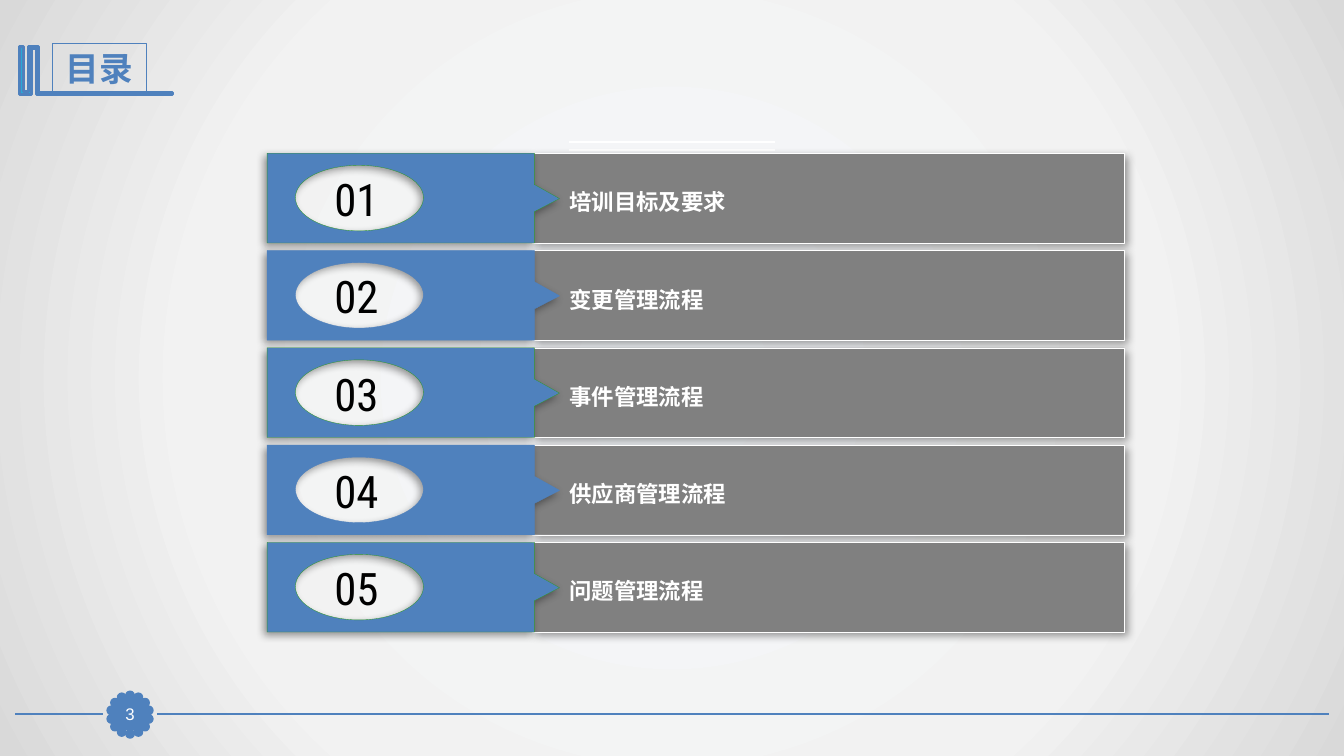
from math import cos, pi, sin

from lxml import etree
from pptx import Presentation
from pptx.dml.color import RGBColor
from pptx.enum.shapes import MSO_CONNECTOR, MSO_SHAPE
from pptx.enum.text import MSO_ANCHOR, MSO_AUTO_SIZE, PP_ALIGN
from pptx.oxml import parse_xml
from pptx.oxml.ns import qn
from pptx.util import Inches, Pt

TITLE = "目录"
PAGE_NUMBER = "3"
CHAPTERS = ["培训目标及要求", "变更管理流程", "事件管理流程", "供应商管理流程", "问题管理流程"]

BLUE = RGBColor(0x4F, 0x81, 0xBD)
SKY = RGBColor(0x28, 0xA9, 0xD6)
GREEN = RGBColor(0x33, 0x99, 0x33)
GRAY = RGBColor(0x80, 0x80, 0x80)
WHITE = RGBColor(0xFF, 0xFF, 0xFF)
BLACK = RGBColor(0, 0, 0)
BACKGROUND_STOPS = [(0, "F6F9FC"), (63, "F2F2F2"), (100, "D9D9D9")]
HEADING_FONT = "Roboto Condensed"
BODY_FONT = "Arial"

# x1, x2, y, colour, width
RULES = [
    (13.18, 1.56, 7.08, BLUE, 1.25),
    (1.02, 0.15, 7.08, BLUE, 1.25),
    (5.64, 7.69, 1.41, WHITE, 1.5),
    (5.64, 7.69, 1.49, WHITE, 1.5),
]
TITLE_MARK = [
    (0.37, 0.46), (0.38, 0.46), (0.38, 0.92), (1.71, 0.92), (1.71, 0.94), (0.36, 0.94),
    (0.36, 0.48), (0.31, 0.48), (0.31, 0.94), (0.19, 0.94), (0.19, 0.46), (0.23, 0.46),
    (0.23, 0.91), (0.28, 0.91), (0.28, 0.46),
]
BADGE_CENTER, BADGE_RADIUS = (1.29, 7.09), 0.19
PETALS, PETAL_SIZE = 14, 0.07

FIRST_TOP, LAST_TOP, ROW_HEIGHT = 1.52, 5.38, 0.89
ROW_PITCH = (LAST_TOP - FIRST_TOP) / (len(CHAPTERS) - 1)
TAG_OUTLINE = [(2.65, 0), (5.3, 0), (5.3, 0.31), (5.55, 0.45), (5.3, 0.58), (5.3, 0.89), (2.65, 0.89)]
# Start of the oval, then two control points and an end point for each quarter
TAG_HOLE = [
    (3.56, 0.12),
    (3.21, 0.12), (2.93, 0.26), (2.93, 0.44),
    (2.93, 0.62), (3.21, 0.77), (3.56, 0.77),
    (3.91, 0.77), (4.2, 0.62), (4.2, 0.44),
    (4.2, 0.26), (3.91, 0.12), (3.56, 0.12),
]


def paint(shape, fill, line, width):
    shape.shadow.inherit = False
    shape.fill.solid()
    shape.fill.fore_color.rgb = fill
    shape.line.color.rgb = line
    shape.line.width = Pt(width)


def add_block(shapes, kind, box, fill, line, width):
    shape = shapes.add_shape(kind, *map(Inches, box))
    paint(shape, fill, line, width)
    return shape


def add_outline(shapes, contours, top, fill, line, width):
    builder = None
    for contour in contours:
        points = [(Inches(x), Inches(top + y)) for x, y in contour]
        if builder is None:
            builder = shapes.build_freeform(*points[0], scale=1.0)
        else:
            builder.move_to(*points[0])
        builder.add_line_segments(points[1:], close=True)
    shape = builder.convert_to_shape()
    paint(shape, fill, line, width)
    return shape


def curve_segments(shape, count):
    """Merge the first count segments, three by three, into Bézier curves."""
    segments = list(shape._element.iter(qn("a:lnTo")))[:count]
    for start in range(0, count, 3):
        curve = etree.Element(qn("a:cubicBezTo"))
        segments[start].addprevious(curve)
        for segment in segments[start:start + 3]:
            curve.append(segment[0])
            segment.getparent().remove(segment)


def cast_shadow(shape, degrees):
    effects = shape._element.spPr.find(qn("a:effectLst"))
    shadow = etree.SubElement(effects, qn("a:outerShdw"), blurRad=str(Pt(6)), dist=str(Pt(3)),
                              dir=str(degrees * 60000), algn="ctr", rotWithShape="0")
    color = etree.SubElement(shadow, qn("a:srgbClr"), val="000000")
    etree.SubElement(color, qn("a:alpha"), val="40000")


def write(shape, text, font, size, color, bold=False, align=PP_ALIGN.CENTER,
          anchor=MSO_ANCHOR.MIDDLE, fit=MSO_AUTO_SIZE.NONE):
    frame = shape.text_frame
    frame.word_wrap = True
    frame.auto_size = fit
    frame.vertical_anchor = anchor
    paragraph = frame.paragraphs[0]
    paragraph.alignment = align
    run = paragraph.add_run()
    run.text = text
    run.font.name = font
    run.font.size = Pt(size)
    run.font.bold = bold
    run.font.color.rgb = color


def set_background(slide):
    stops = "".join(f'<a:gs pos="{position * 1000}"><a:srgbClr val="{color}"/></a:gs>'
                    for position, color in BACKGROUND_STOPS)
    fill = parse_xml(
        '<a:gradFill xmlns:a="http://schemas.openxmlformats.org/drawingml/2006/main" rotWithShape="1">'
        f'<a:gsLst>{stops}</a:gsLst><a:path path="circle">'
        '<a:fillToRect l="50000" t="50000" r="50000" b="50000"/></a:path></a:gradFill>')
    slide.background.fill.solid()
    properties = slide._element.cSld.find(qn("p:bg")).find(qn("p:bgPr"))
    properties.replace(properties.find(qn("a:solidFill")), fill)


def add_rule(shapes, x1, x2, y, color, width):
    rule = shapes.add_connector(MSO_CONNECTOR.STRAIGHT, Inches(x1), Inches(y), Inches(x2), Inches(y))
    rule.line.color.rgb = color
    rule.line.width = Pt(width)
    etree.SubElement(rule._element.spPr, qn("a:effectLst"))


def add_title(slide):
    add_outline(slide.shapes, [TITLE_MARK], 0, SKY, BLUE, 2)
    title = slide.shapes.title
    title.left, title.top, title.width, title.height = map(Inches, (0.52, 0.43, 0.93, 0.5))
    title.line.color.rgb = BLUE
    title.line.width = Pt(0.75)
    write(title, TITLE, HEADING_FONT, 24, BLUE, bold=True)


def add_page_badge(shapes):
    petals = shapes.add_group_shape().shapes
    for petal in range(PETALS):
        angle = 2 * pi * petal / PETALS
        left = BADGE_CENTER[0] + BADGE_RADIUS * sin(angle) - PETAL_SIZE / 2
        top = BADGE_CENTER[1] - BADGE_RADIUS * cos(angle) - PETAL_SIZE / 2
        add_block(petals, MSO_SHAPE.OVAL, (left, top, PETAL_SIZE, PETAL_SIZE), BLUE, BLUE, 2)
    number = add_block(shapes, MSO_SHAPE.RECTANGLE, (1.13, 6.93, 0.32, 0.31), BLUE, BLUE, 0.75)
    frame = number.text_frame
    frame.margin_left = frame.margin_right = frame.margin_top = frame.margin_bottom = 0
    write(number, PAGE_NUMBER, BODY_FONT, 12, WHITE)


def add_chapter(slide, index, chapter):
    top = FIRST_TOP + index * ROW_PITCH
    shapes = slide.shapes.add_group_shape().shapes
    bar = add_block(shapes, MSO_SHAPE.RECTANGLE, (5.28, top, 5.87, ROW_HEIGHT), GRAY, WHITE, 0.25)
    cast_shadow(bar, 45)
    edge = BLUE if index % 2 else GREEN
    tag = add_outline(shapes, [TAG_HOLE, TAG_OUTLINE], top, BLUE, edge, 0.25)
    curve_segments(tag, len(TAG_HOLE) - 1)
    cast_shadow(tag, 135)
    number = shapes.add_textbox(*map(Inches, (3.03, top + 0.13, 1.01, 0.64)))
    write(number, f"{index + 1:02}", HEADING_FONT, 32, BLACK, fit=MSO_AUTO_SIZE.SHAPE_TO_FIT_TEXT)
    label = shapes.add_textbox(*map(Inches, (5.55, top + 0.3, 5.61, 0.37)))
    write(label, chapter, BODY_FONT, 16, WHITE, bold=True, align=PP_ALIGN.LEFT,
          anchor=MSO_ANCHOR.TOP, fit=MSO_AUTO_SIZE.SHAPE_TO_FIT_TEXT)


def main():
    presentation = Presentation()
    presentation.slide_width, presentation.slide_height = Inches(13.33), Inches(7.5)
    slide = presentation.slides.add_slide(presentation.slide_layouts[5])
    set_background(slide)
    add_title(slide)
    for rule in RULES:
        add_rule(slide.shapes, *rule)
    add_page_badge(slide.shapes)
    for index, chapter in enumerate(CHAPTERS):
        add_chapter(slide, index, chapter)
    presentation.save("out.pptx")


if __name__ == "__main__":
    main()
